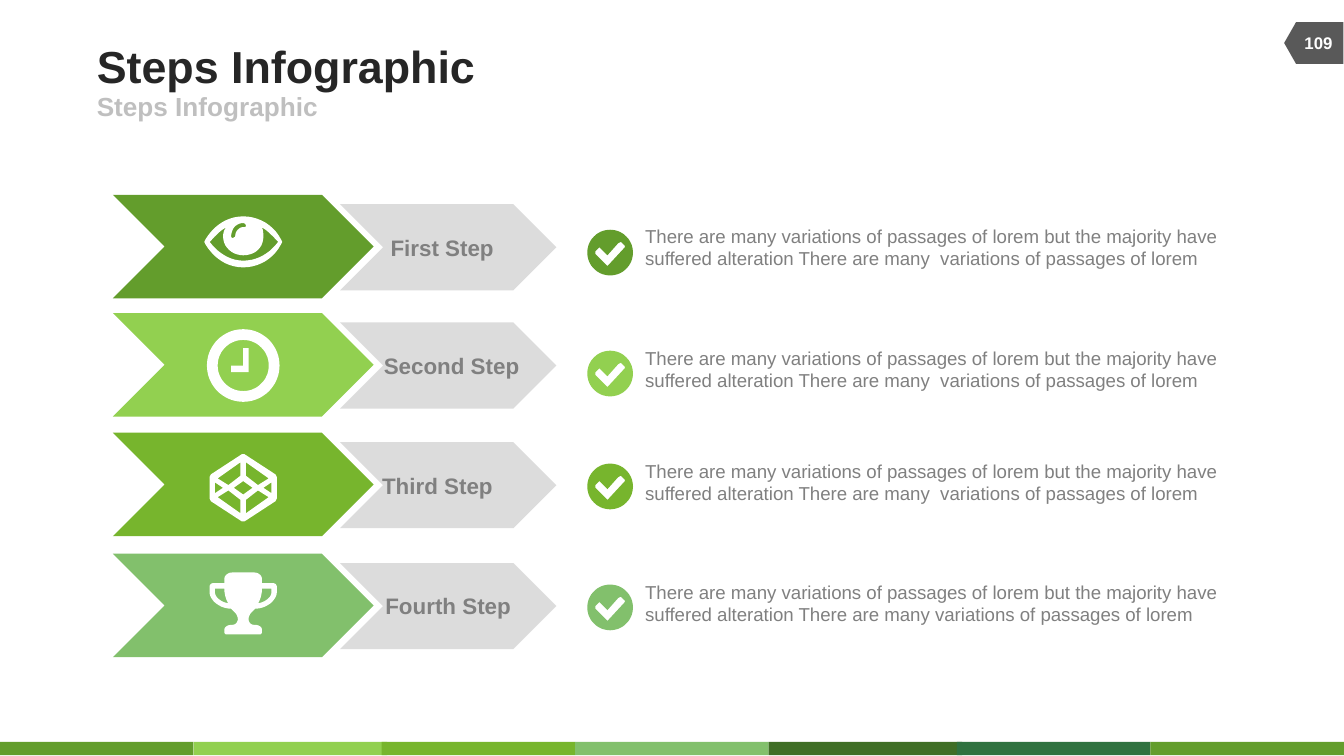
from dataclasses import dataclass
from math import cos, pi, sin

from pptx import Presentation
from pptx.dml.color import RGBColor
from pptx.enum.shapes import MSO_SHAPE as Kind
from pptx.enum.text import MSO_ANCHOR as Anchor, MSO_AUTO_SIZE as Fit, PP_ALIGN as Align
from pptx.oxml.ns import qn
from pptx.util import Inches, Pt

HEX = {
    "leaf": "639D2C", "lime": "92D050", "grass": "77B52D", "sage": "82C06C",
    "moss": "406E26", "pine": "307240", "white": "FFFFFF", "silver": "D9D9D9",
    "ash": "BFBFBF", "gray": "808080", "slate": "595959", "ink": "262626",
}
BARS = {0: "leaf", 1.44: "lime", 2.84: "grass", 4.28: "sage",
        5.72: "moss", 7.12: "pine", 8.56: "leaf"}
TEXT = ("There are many variations of passages of lorem but the majority have "
        "suffered alteration There are many  variations of passages of lorem")
ICON_X, TICK_X = 1.81, 4.54
UNIT = 1000  # freeform units to the inch

Point = tuple[float, float]
Path = list[Point]
Box = tuple[float, float, float, float]


def trace(*parts: tuple) -> Path:
    """Turn points (x, y) and cubic curves (x1, y1, x2, y2, x, y) into a path."""
    path: Path = []
    for part in parts:
        if len(part) == 2:
            path.append(part)
            continue
        knots = [path[-1], part[:2], part[2:4], part[4:]]
        for i in range(1, 11):
            t = i / 10
            mix = ((1 - t) ** 3, 3 * t * (1 - t) ** 2, 3 * t * t * (1 - t), t ** 3)
            path.append((sum(m * k[0] for m, k in zip(mix, knots)),
                         sum(m * k[1] for m, k in zip(mix, knots))))
    return path


def ring(rad: float) -> Path:
    return [(rad * cos(i * pi / 36), rad * sin(i * pi / 36)) for i in range(72)]


def flip(path: Path, sx: int = -1, sy: int = 1) -> Path:
    return [(sx * x, sy * y) for x, y in path]


def eye() -> list[Path]:
    rim = trace((.28, -.02), (.23, -.12, .12, -.19, 0, -.19),
                (-.12, -.19, -.22, -.12, -.28, -.02), (-.29, 0), (-.28, .02),
                (-.22, .12, -.12, .19, 0, .19), (.12, .19, .23, .12, .28, .02), (.29, 0))
    lens = trace((.13, -.11), (.15, -.1, .15, -.07, .15, -.04),
                 (.15, .04, .09, .1, 0, .1), (-.08, .1, -.15, .04, -.15, -.04),
                 (-.15, -.07, -.14, -.1, -.12, -.11), (-.17, -.09, -.21, -.04, -.25, 0),
                 (-.19, .08, -.1, .14, 0, .14), (.11, .14, .2, .08, .26, 0),
                 (.22, -.04, .18, -.09, .13, -.11))
    glint = trace((0, -.14), (-.05, -.14, -.09, -.1, -.09, -.04),
                  (-.09, -.04, -.09, -.03, -.08, -.03), (-.07, -.03, -.06, -.04, -.06, -.04),
                  (-.06, -.08, -.03, -.11, 0, -.11), (.01, -.11, .02, -.11, .02, -.12),
                  (.02, -.13, .01, -.14, 0, -.14))
    return [rim, lens, glint]


def clock() -> list[Path]:
    hands = [(.04, -.13), (.04, .05), (-.09, .05), (-.09, 0), (0, 0), (0, -.13)]
    return [ring(.27), ring(.19), hands]


def cube() -> list[Path]:
    edge = [(.01, -.25), (.24, -.1), (.25, -.08), (.25, .08), (.24, .1), (.01, .25)]
    side = [(.15, 0), (.21, -.04), (.21, .04)]
    pane = [(.02, -.09), (.02, -.19), (.19, -.07), (.11, -.02)]
    core = [(.07, 0), (0, -.05), (-.07, 0), (0, .05)]
    panes = [flip(pane, sx, sy) for sx in (1, -1) for sy in (1, -1)]
    return [edge + flip(edge)[::-1], side, flip(side), core, *panes]


def cup() -> list[Path]:
    half = trace((0, -.23), (.08, -.23), (.11, -.23, .14, -.21, .14, -.18), (.14, -.15),
                 (.22, -.15), (.24, -.15, .25, -.14, .25, -.12), (.25, -.08),
                 (.25, -.03, .18, .04, .09, .04), (.08, .05, .06, .07, .06, .07),
                 (.05, .08, .04, .1, .04, .12), (.04, .13, .05, .16, .08, .16),
                 (.11, .16, .14, .17, .14, .2), (.14, .22), (.13, .23), (0, .23))
    grip = trace((.21, -.11), (.14, -.11), (.14, -.07, .13, -.03, .11, 0),
                 (.17, -.01, .21, -.05, .21, -.08))
    return [half + flip(half)[::-1], grip, flip(grip)]


def tick() -> list[Path]:
    mark = [(.11, -.04), (.11, -.05), (.09, -.07), (.08, -.08), (.06, -.07), (-.02, .02),
            (-.07, -.03), (-.08, -.04), (-.09, -.03), (-.11, -.01), (-.11, .01),
            (-.03, .09), (-.02, .1), (-.01, .09)]
    return [ring(.17), mark]


@dataclass
class Step:
    name: str
    tint: str
    top: float
    icon: list[Path]
    icon_y: float
    tick_y: float
    left: float
    width: float
    text_y: float
    text: str = TEXT


STEPS = [
    Step("First Step", "leaf", 1.45, eye(), 1.8, 1.88, 2.9, .78, 1.67),
    Step("Second Step", "lime", 2.33, clock(), 2.72, 2.78, 2.85, 1.02, 2.58),
    Step("Third Step", "grass", 3.22, cube(), 3.63, 3.62, 2.84, .83, 3.42),
    Step("Fourth Step", "sage", 4.12, cup(), 4.49, 4.52, 2.86, .95, 4.32,
         TEXT.replace("  ", " ")),
]


def paint(shape, tint: str) -> None:
    shape.shadow.inherit = False
    shape.fill.solid()
    shape.fill.fore_color.rgb = RGBColor.from_string(HEX[tint])
    shape.line.fill.background()


def block(shapes, kind: Kind, box: Box, tint: str):
    shape = shapes.add_shape(kind, *map(Inches, box))
    paint(shape, tint)
    return shape


def glyph(shapes, paths: list[Path], x: float, y: float, tint: str) -> None:
    """Draw closed paths, given around a center, as one shape with holes."""
    pen = None
    for path in paths:
        dots = [(round(px * UNIT), round(py * UNIT)) for px, py in path]
        if pen is None:
            pen = shapes.build_freeform(*dots[0], scale=Inches(1) / UNIT)
        else:
            pen.move_to(*dots[0])
        pen.add_line_segments(dots[1:], close=True)
    paint(pen.convert_to_shape(Inches(x), Inches(y)), tint)


def write(shape, box: Box, text: str, size: int, tint: str, bold: bool = True,
          align: Align = Align.LEFT, **extra) -> None:
    """Place a text shape and format it; extra overrides the frame's values."""
    for key, val in zip(("left", "top", "width", "height"), box):
        setattr(shape, key, Inches(val))
    frame = shape.text_frame
    form = {"margin_left": 0, "margin_top": 0, "margin_right": 0, "margin_bottom": 0,
            "word_wrap": False, "auto_size": Fit.NONE, "vertical_anchor": Anchor.MIDDLE}
    for key, val in (form | extra).items():
        setattr(frame, key, val)
    para = frame.paragraphs[0]
    para.text = text
    para.alignment = align
    para.space_before = Pt(0)
    font = para.runs[0].font
    for key, val in {"name": "Arial", "size": Pt(size), "bold": bold}.items():
        setattr(font, key, val)
    font.color.rgb = RGBColor.from_string(HEX[tint])


def label(shapes, box: Box, *args, **extra) -> None:
    write(shapes.add_textbox(*map(Inches, box)), box, *args, **extra)


def draw(shapes, step: Step) -> None:
    block(shapes, Kind.CHEVRON, (.84, step.top, 1.94, .77), step.tint)
    glyph(shapes, step.icon, ICON_X, step.icon_y, "white")
    arrow = block(shapes, Kind.CHEVRON, (2.53, step.top + .07, 1.61, .64), "silver")
    tone = arrow._element.spPr.find(f".//{qn('a:srgbClr')}")
    tone.append(tone.makeelement(qn("a:alpha"), {"val": "90000"}))
    label(shapes, (step.left, step.top + .29, step.width, .2), step.name, 12, "gray",
          align=Align.CENTER, auto_size=Fit.SHAPE_TO_FIT_TEXT)
    glyph(shapes, tick(), TICK_X, step.tick_y, step.tint)
    label(shapes, (4.8, step.text_y, 4.42, .34), step.text, 10, "gray", bold=False,
          word_wrap=True, auto_size=Fit.SHAPE_TO_FIT_TEXT, vertical_anchor=Anchor.TOP)


def main() -> None:
    deck = Presentation()
    deck.slide_width = Inches(10)
    deck.slide_height = deck.slide_width * 9 // 16
    slide = deck.slides.add_slide(deck.slide_layouts[1])
    shapes = slide.shapes
    for left, tint in BARS.items():
        block(shapes, Kind.RECTANGLE, (left, 5.52, 1.44, .1), tint)
    flag = block(shapes, Kind.FLOWCHART_OFFPAGE_CONNECTOR, (9.62, .1, .31, .44), "slate")
    flag.rotation = 90
    label(shapes, (9.6, .17, .42, .3), "109", 9, "white", align=Align.CENTER)

    write(shapes.title, (.72, .29, 6.17, .39), "Steps Infographic", 24, "ink")
    body = slide.placeholders[1]
    props = body.text_frame.paragraphs[0]._p.get_or_add_pPr()
    props.set("marL", "0")
    props.set("indent", "0")
    props.append(props.makeelement(qn("a:buNone"), {}))
    write(body, (.72, .68, 4.5, .22), "Steps Infographic", 14, "ash")

    for step in STEPS:
        draw(shapes, step)
    deck.save("out.pptx")


if __name__ == "__main__":
    main()
